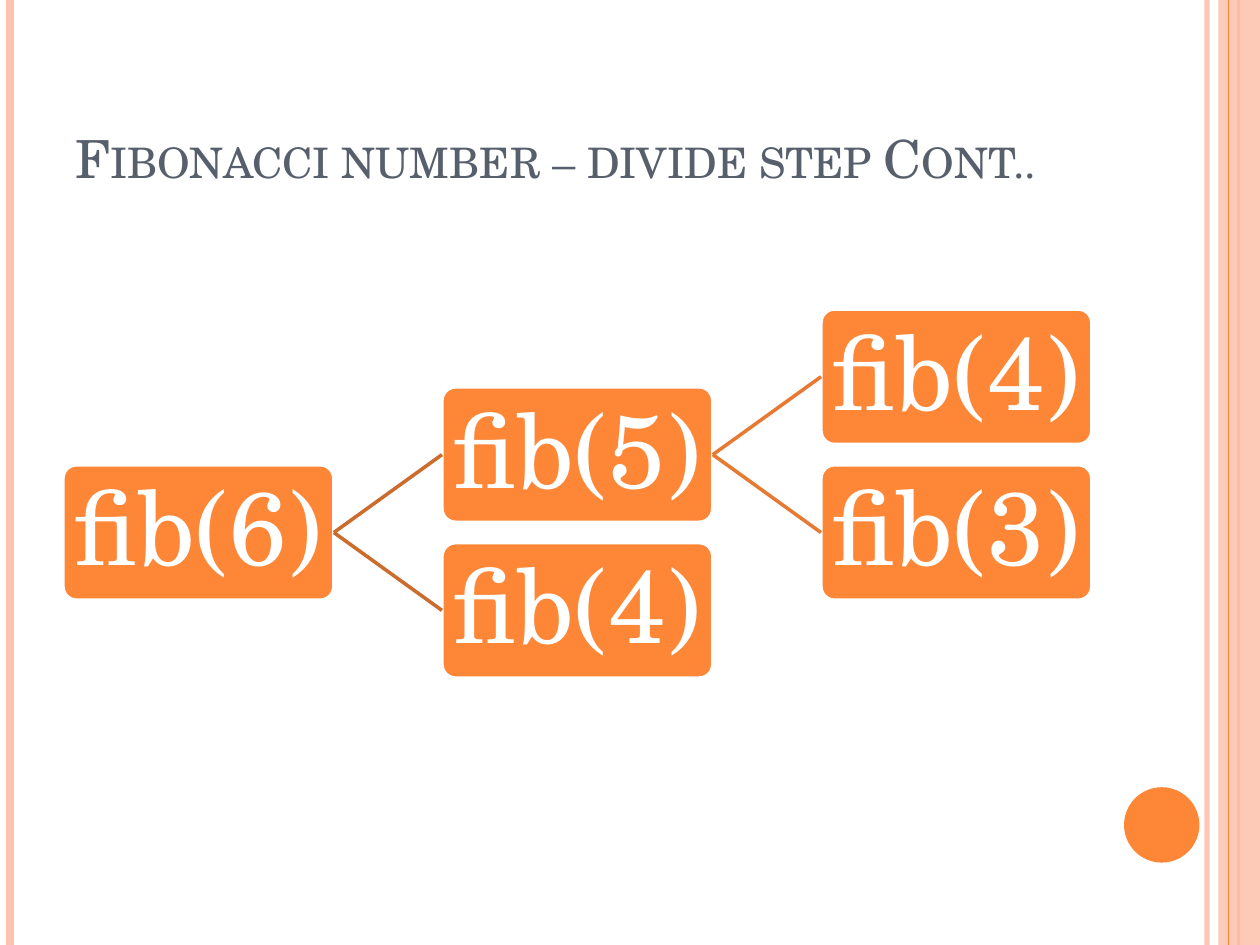
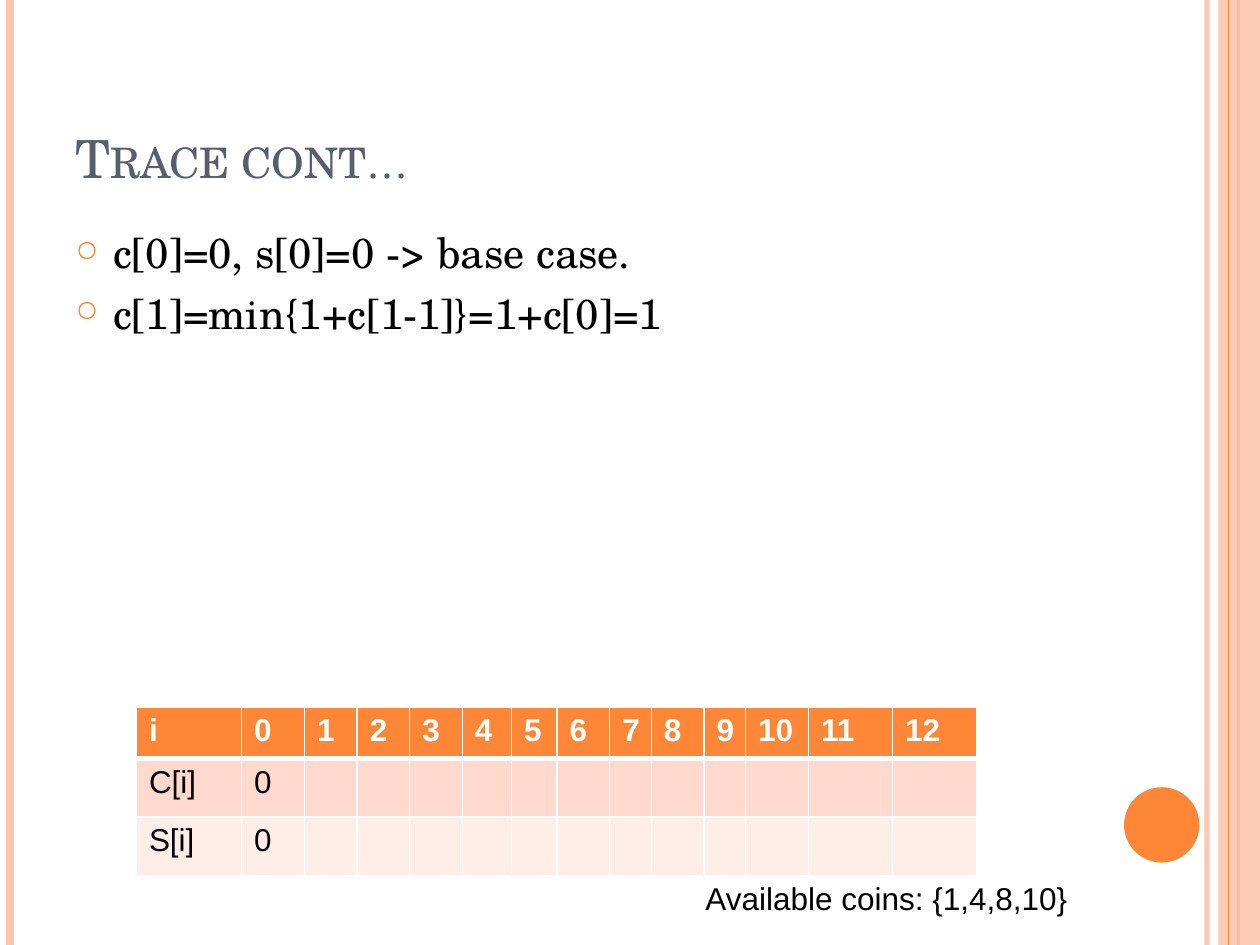
"""Build two slides on dynamic programming: a Fibonacci call tree and a coin table."""
from lxml.etree import SubElement
from pptx import Presentation
from pptx.dml.color import RGBColor
from pptx.enum.shapes import MSO_CONNECTOR, MSO_SHAPE
from pptx.enum.text import MSO_ANCHOR, PP_ALIGN
from pptx.oxml.ns import qn
from pptx.util import Cm, Pt

COLORS = {
    "orange": "FE8637",
    "peach": "FEC3AE",
    "slate": "575F6D",
    "black": "000000",
    "white": "FFFFFF",
    "first branch": "CB6B2C",
    "second branch": "E77A32",
    "odd row": "FFD9CE",
    "even row": "FFEDE8",
}
PALETTE = {name: RGBColor.from_string(value) for name, value in COLORS.items()}
SERIF = "TeX Gyre Schola"
FONTS = {
    "title": ({"name": SERIF, "size": Pt(30)}, "slate"),
    "body": ({"name": SERIF, "size": Pt(24)}, "black"),
    "node": ({"name": SERIF, "size": Pt(59)}, "white"),
    "header": ({"name": "Arial", "size": Pt(18), "bold": True}, "white"),
    "plain": ({"name": "Arial", "size": Pt(18), "bold": False}, "black"),
}


def write(para, text, style):
    """Add a span of text in a named style."""
    span = para.add_run()
    span.text = text
    values, color = FONTS[style]
    for name, value in values.items():
        setattr(span.font, name, value)
    span.font.color.rgb = PALETTE[color]
    return span


def draw_line(page, color, width, x=0, opacity=100):
    """Draw a full-height vertical line without shadow."""
    line = page.shapes.add_connector(MSO_CONNECTOR.STRAIGHT, Cm(x), 0, Cm(x), Cm(19.05))
    line.line.color.rgb = PALETTE[color]
    line.line.width = Pt(width)
    properties = line._element.spPr
    if opacity < 100:
        tint = properties.find(".//" + qn("a:srgbClr"))
        SubElement(tint, qn("a:alpha"), val=str(opacity * 1000))
    SubElement(properties, qn("a:effectLst"))
    return line


deck = Presentation()
deck.slide_width = Cm(25.4)
deck.slide_height = Cm(19.05)

pages = []
for title in ("Fibonacci number – divide step Cont..", "Trace cont…"):
    page = deck.slides.add_slide(deck.slide_layouts[6])
    pages.append(page)
    draw_line(page, "peach", 3, 24.33, 93)
    draw_line(page, "peach", 4.5, 0.2)
    draw_line(page, "orange", 1.5, 24.97)
    band = page.shapes.add_shape(MSO_SHAPE.RECTANGLE, Cm(24.56), 0, Cm(0.84), Cm(19.05))
    draw_line(page, "orange", 0.75, 24.77)
    disc = page.shapes.add_shape(MSO_SHAPE.OVAL, Cm(22.66), Cm(15.87), Cm(1.52), Cm(1.52))
    for shape, color in ((band, "peach"), (disc, "orange")):
        shape.shadow.inherit = False
        shape.fill.solid()
        shape.fill.fore_color.rgb = PALETTE[color]
        shape.line.fill.background()
    tint = band._element.spPr.find(".//" + qn("a:srgbClr"))
    SubElement(tint, qn("a:alpha"), val="87000")

    box = page.shapes.add_textbox(Cm(1.27), Cm(0.76), Cm(20.75), Cm(3.17))
    box.text_frame.word_wrap = True
    box.text_frame.vertical_anchor = MSO_ANCHOR.BOTTOM
    span = write(box.text_frame.paragraphs[0], title, "title")
    span.font._element.set("cap", "small")

tree_page, trace_page = pages

calls = [("fib(6)", 0, 2), ("fib(5)", 1, 1), ("fib(4)", 2, 0), ("fib(3)", 2, 2), ("fib(4)", 1, 3)]
nodes = []
for call, level, step in calls:
    node = tree_page.shapes.add_shape(
        MSO_SHAPE.ROUNDED_RECTANGLE,
        Cm(1.27 + 7.64 * level), Cm(6.23 + 1.57 * step), Cm(5.46), Cm(2.73),
    )
    node.adjustments[0] = 0.1
    node.shadow.inherit = False
    node.fill.solid()
    node.fill.fore_color.rgb = PALETTE["orange"]
    node.line.color.rgb = PALETTE["white"]
    node.line.width = Pt(2)
    frame = node.text_frame
    frame.word_wrap = False
    frame.vertical_anchor = MSO_ANCHOR.MIDDLE
    for side in ("left", "top", "right", "bottom"):
        setattr(frame, f"margin_{side}", Cm(0.18))
    para = frame.paragraphs[0]
    para.alignment = PP_ALIGN.CENTER
    para.line_spacing = 0.9
    write(para, call, "node")
    nodes.append(node)

branches = [(0, 1, "first branch"), (0, 4, "first branch"),
            (1, 2, "second branch"), (1, 3, "second branch")]
for parent, child, color in branches:
    branch = draw_line(tree_page, color, 2)
    branch.begin_connect(nodes[parent], 3)
    branch.end_connect(nodes[child], 1)

box = trace_page.shapes.add_textbox(Cm(1.27), Cm(4.45), Cm(20.75), Cm(13.54))
frame = box.text_frame
frame.word_wrap = True
for index, text in enumerate(("c[0]=0, s[0]=0 -> base case.", "c[1]=min{1+c[1-1]}=1+c[0]=1")):
    para = frame.add_paragraph() if index else frame.paragraphs[0]
    if index:
        para.space_before = Pt(6)
    properties = para._p.get_or_add_pPr()
    properties.set("marL", str(Cm(0.76)))
    properties.set("indent", str(-Cm(0.76)))
    bullet_color = SubElement(properties, qn("a:buClr"))
    SubElement(bullet_color, qn("a:srgbClr"), val=COLORS["orange"])
    SubElement(properties, qn("a:buSzPct"), val="70000")
    SubElement(properties, qn("a:buChar"), char="○")
    write(para, text, "body")

rows = [["i", *map(str, range(13))], ["C[i]", "0"], ["S[i]", "0"]]
row_heights = [1.04, 1.18, 1.18]
row_fills = ["orange", "odd row", "even row"]
column_widths = [2.12, 1.27, 1.06, 1.06, 1.06, 0.99, 0.92, 1.06, 0.84, 1.06, 0.84, 1.27, 1.69, 1.69]
table = trace_page.shapes.add_table(
    len(rows), len(column_widths), Cm(2.75), Cm(14.25), Cm(sum(column_widths)), Cm(sum(row_heights))
).table
table.horz_banding = False
for column, width in zip(table.columns, column_widths):
    column.width = Cm(width)
for row_index, texts in enumerate(rows):
    table.rows[row_index].height = Cm(row_heights[row_index])
    for column_index, cell in enumerate(table.rows[row_index].cells):
        properties = cell._tc.get_or_add_tcPr()
        for side in "LRTB":
            thick = (row_index, side) in ((0, "B"), (1, "T"))
            border = SubElement(properties, qn(f"a:ln{side}"), w=str(Pt(3 if thick else 1)))
            fill = SubElement(border, qn("a:solidFill"))
            SubElement(fill, qn("a:srgbClr"), val=COLORS["white"])
        cell.fill.solid()
        cell.fill.fore_color.rgb = PALETTE[row_fills[row_index]]
        if column_index < len(texts):
            style = "plain" if row_index else "header"
            write(cell.text_frame.paragraphs[0], texts[column_index], style)

box = trace_page.shapes.add_textbox(Cm(13.97), Cm(17.6), Cm(8.05), Cm(1.02))
box.text_frame.word_wrap = False
write(box.text_frame.paragraphs[0], "Available coins: {1,4,8,10}", "plain")

deck.save("out.pptx")
